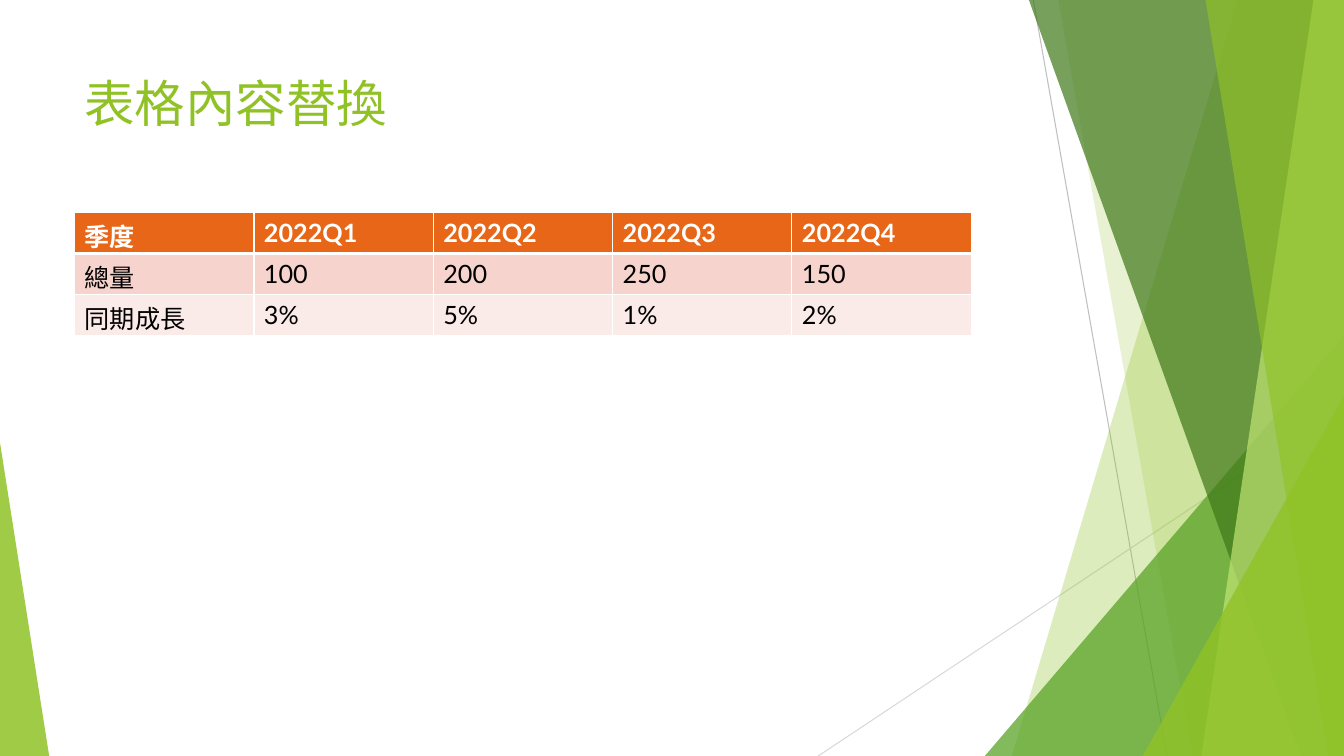
from dataclasses import dataclass

from lxml.etree import SubElement
from pptx import Presentation
from pptx.dml.color import RGBColor
from pptx.enum.shapes import MSO_CONNECTOR, MSO_SHAPE
from pptx.enum.text import MSO_ANCHOR
from pptx.oxml.ns import qn
from pptx.shapes.autoshape import Shape
from pptx.slide import Slide
from pptx.table import _Cell
from pptx.text.text import TextFrame
from pptx.util import Cm, Pt

WIDTH, HEIGHT = 33.87, 19.05
FONT = "Lato"
COLORS = {
    "lime": "90C226",
    "green": "54A021",
    "forest": "3F7819",
    "pale": "C0E474",
    "ray_dark": "BFBFBF",
    "ray_light": "D9D9D9",
    "header": "E76618",
    "row_dark": "F6D3CC",
    "row_light": "FAEAE8",
    "white": "FFFFFF",
    "black": "000000",
}


@dataclass
class Ray:
    start: tuple[float, float]
    end: tuple[float, float]
    color: str


@dataclass
class Band:
    top_x: float
    bottom_x: float
    color: str
    opacity: int


@dataclass
class Wedge:
    left: float
    top: float
    width: float
    tip: float
    color: str
    opacity: int


@dataclass
class TableRow:
    texts: list[str]
    fill: str
    color: str
    bold: bool
    bottom_border: float


RAYS = [
    Ray((26.04, 0), (29.41, HEIGHT), "ray_dark"),
    Ray((WIDTH, 10.24), (20.62, HEIGHT), "ray_light"),
]
FACETS = [
    Band(31.19, 25.5, "lime", 30),
    Band(26.67, 30.05, "lime", 20),
    Wedge(24.82, 8.46, 9.05, 1, "green", 72),
    Band(25.93, 32.79, "forest", 70),
    Band(33.1, 30.28, "pale", 70),
    Band(30.38, 33.48, "lime", 65),
    Wedge(28.8, 9.98, 5.07, 1, "lime", 80),
    Wedge(0, 11.15, 1.24, 0, "lime", 85),
]
ROWS = [
    TableRow(["季度", "2022Q1", "2022Q2", "2022Q3", "2022Q4"], "header", "white", True, 3),
    TableRow(["總量", "100", "200", "250", "150"], "row_dark", "black", False, 1),
    TableRow(["同期成長", "3%", "5%", "1%", "2%"], "row_light", "black", False, 1),
]


def rgb(name: str) -> RGBColor:
    return RGBColor.from_string(COLORS[name])


def draw_ray(page: Slide, ray: Ray) -> None:
    points = [Cm(value) for value in (*ray.start, *ray.end)]
    line = page.shapes.add_connector(MSO_CONNECTOR.STRAIGHT, *points)
    line.line.color.rgb = rgb(ray.color)
    line.line.width = Pt(0.75)
    SubElement(line._element.spPr, qn("a:effectLst"))


def paint_facet(shape: Shape, facet: Band | Wedge) -> None:
    shape.shadow.inherit = False
    shape.fill.solid()
    shape.fill.fore_color.rgb = rgb(facet.color)
    shape.line.fill.background()
    color = shape._element.spPr.find(qn("a:solidFill"))[0]
    SubElement(color, qn("a:alpha"), val=str(facet.opacity * 1000))


def draw_band(page: Slide, band: Band) -> None:
    corners = [(WIDTH, 0), (WIDTH, HEIGHT), (band.bottom_x, HEIGHT)]
    builder = page.shapes.build_freeform(Cm(band.top_x), 0)
    builder.add_line_segments([(Cm(x), Cm(y)) for x, y in corners], close=True)
    paint_facet(builder.convert_to_shape(), band)


def draw_wedge(page: Slide, wedge: Wedge) -> None:
    shape = page.shapes.add_shape(
        MSO_SHAPE.ISOSCELES_TRIANGLE,
        Cm(wedge.left), Cm(wedge.top), Cm(wedge.width), Cm(HEIGHT - wedge.top),
    )
    shape.adjustments[0] = wedge.tip
    paint_facet(shape, wedge)


def write_text(frame: TextFrame, text: str, color: str, formats: dict) -> None:
    span = frame.paragraphs[0].add_run()
    span.text = text
    for name, value in formats.items():
        setattr(span.font, name, value)
    span.font.color.rgb = rgb(color)


def draw_title(page: Slide, text: str) -> None:
    box = page.shapes.add_textbox(Cm(1.88), Cm(1.7), Cm(23.88), Cm(3.66))
    box.text_frame.word_wrap = True
    box.text_frame.vertical_anchor = MSO_ANCHOR.TOP
    write_text(box.text_frame, text, "lime", {"name": FONT, "size": Pt(36)})


def set_borders(cell: _Cell, widths: dict[str, float]) -> None:
    properties = cell._tc.get_or_add_tcPr()
    for side, width in widths.items():
        line = SubElement(properties, qn(f"a:ln{side}"), w=str(Pt(width)))
        fill = SubElement(line, qn("a:solidFill"))
        SubElement(fill, qn("a:srgbClr"), val=COLORS["white"])


def draw_table(page: Slide, rows: list[TableRow]) -> None:
    columns, column_width, row_height = len(rows[0].texts), 4.52, 1.03
    table = page.shapes.add_table(
        len(rows), columns, Cm(1.88), Cm(5.36),
        Cm(columns * column_width), Cm(len(rows) * row_height),
    ).table
    top_border = 1
    for row_index, row in enumerate(rows):
        formats = {"name": FONT, "size": Pt(18), "bold": row.bold}
        borders = {"L": 1, "R": 1, "T": top_border, "B": row.bottom_border}
        for column_index, text in enumerate(row.texts):
            cell = table.cell(row_index, column_index)
            set_borders(cell, borders)
            cell.fill.solid()
            cell.fill.fore_color.rgb = rgb(row.fill)
            write_text(cell.text_frame, text, row.color, formats)
        top_border = row.bottom_border


deck = Presentation()
deck.slide_width, deck.slide_height = Cm(WIDTH), Cm(HEIGHT)
page = deck.slides.add_slide(deck.slide_layouts[6])
for ray in RAYS:
    draw_ray(page, ray)
for facet in FACETS:
    if isinstance(facet, Band):
        draw_band(page, facet)
    else:
        draw_wedge(page, facet)
draw_title(page, "表格內容替換")
draw_table(page, ROWS)
deck.save("out.pptx")
